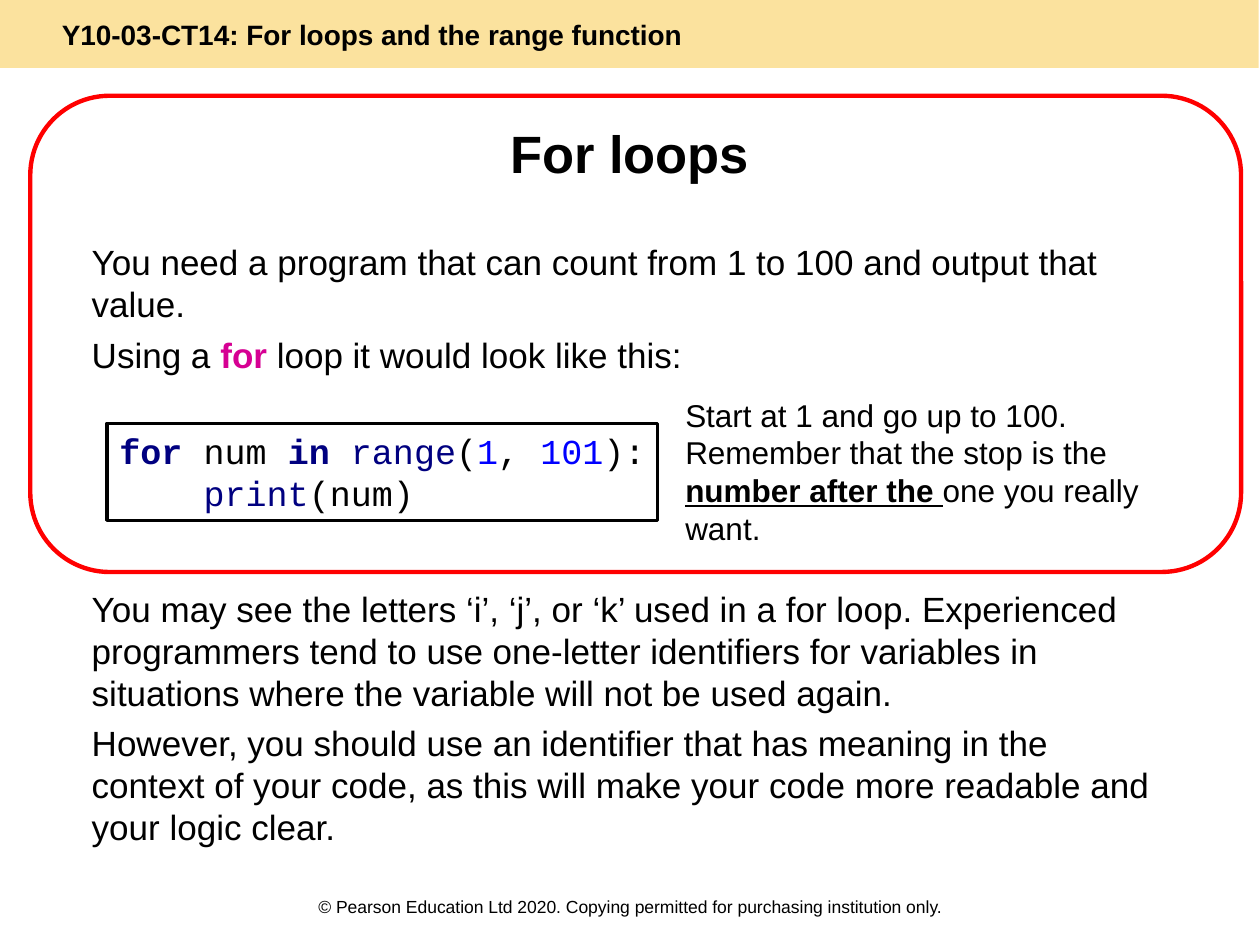
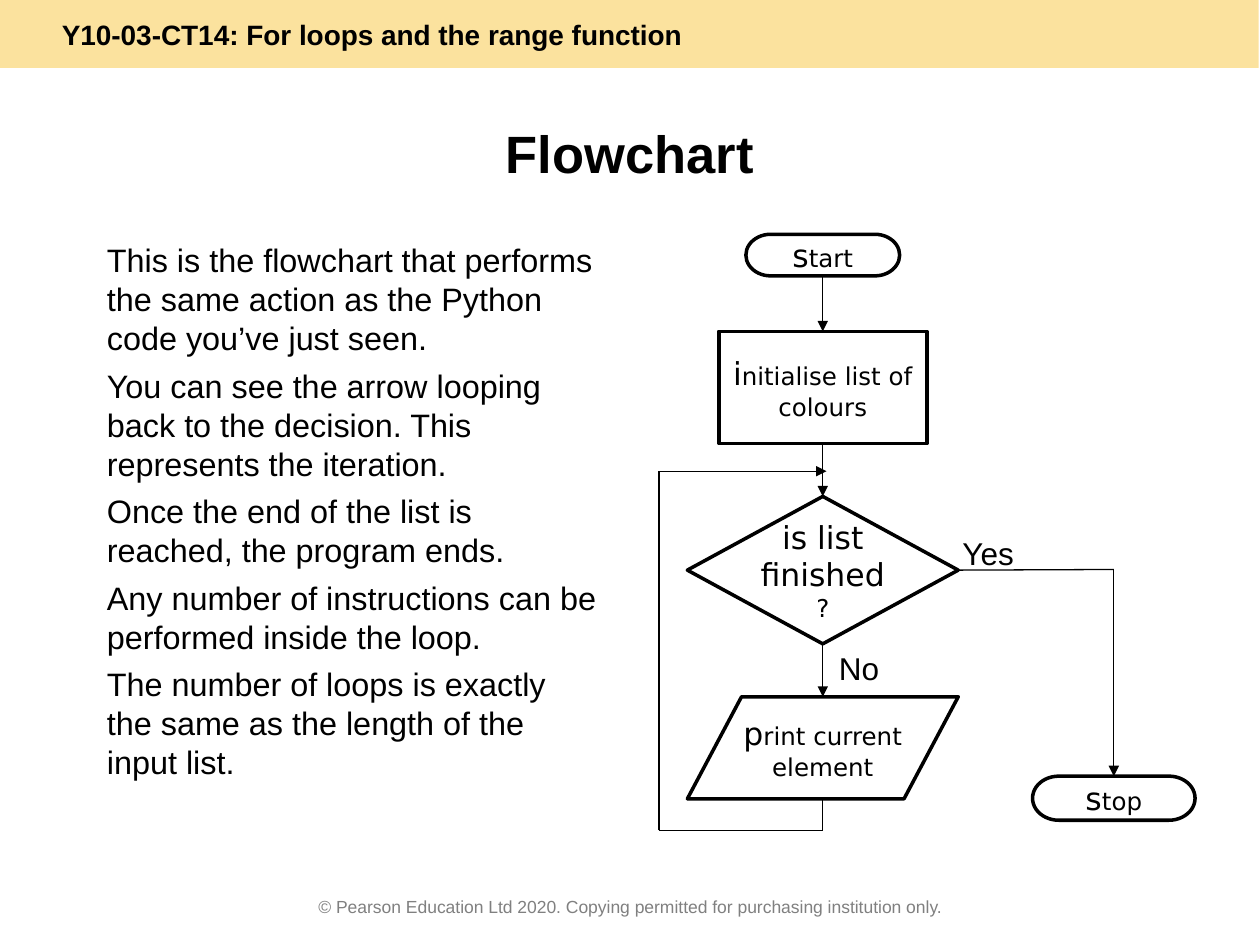
import pptx
import pptx.dml.color
import pptx.enum.shapes
import pptx.enum.text
import pptx.oxml
import pptx.oxml.ns
import pptx.util
from lxml import etree

Inches = pptx.util.Inches
Pt = pptx.util.Pt
SHAPES = pptx.enum.shapes.MSO_SHAPE
ALIGN = pptx.enum.text.PP_ALIGN
ANCHOR = pptx.enum.text.MSO_ANCHOR

BLACK = "000000"
WHITE = "FFFFFF"
GREY = "808080"
BAND = "F9C73E"
FRAME = "FF0000"
PINK = "D60093"
NAVY = "000080"
BLUE = "0000FF"
LESSON = "Y10-03-CT14: For loops and the range function"
COPYRIGHT = "© Pearson Education Ltd 2020. Copying permitted for purchasing institution only."

FLOW_X = 6.53
LOOP_X = 5.23
LOOP_TOP = 3.74
LOOP_BOTTOM = 6.59
STOP_X = 8.84


def rgb(color):
    return pptx.dml.color.RGBColor.from_string(color)


def write(shape, paragraphs, size=18, font="Arial", color=BLACK, bold=False,
          align=ALIGN.LEFT, anchor=ANCHOR.TOP, before=0, wrap=True, inset=(0.1, 0.05)):
    frame = shape.text_frame
    frame.word_wrap = wrap
    frame.vertical_anchor = anchor
    frame.margin_left = frame.margin_right = Inches(inset[0])
    frame.margin_top = frame.margin_bottom = Inches(inset[1])
    for index, runs in enumerate(paragraphs):
        paragraph = frame.paragraphs[0] if index == 0 else frame.add_paragraph()
        paragraph.alignment = align
        if index:
            paragraph.space_before = Pt(before)
        if isinstance(runs, str):
            runs = [(runs, {})]
        for text, changes in runs:
            run = paragraph.add_run()
            run.text = text
            run.font.name = font
            run.font.size = Pt(changes.get("size", size))
            run.font.bold = changes.get("bold", bold)
            run.font.underline = changes.get("underline", False)
            run.font.color.rgb = rgb(changes.get("color", color))


def add_text(slide, left, top, width, height, paragraphs, **text_format):
    box = slide.shapes.add_textbox(Inches(left), Inches(top), Inches(width), Inches(height))
    write(box, paragraphs, **text_format)
    return box


def add_box(slide, kind, left, top, width, height, fill=WHITE, line=BLACK, weight=2):
    shape = slide.shapes.add_shape(
        kind, Inches(left), Inches(top), Inches(width), Inches(height))
    shape.shadow.inherit = False
    if fill:
        shape.fill.solid()
        shape.fill.fore_color.rgb = rgb(fill)
    else:
        shape.fill.background()
    if line:
        shape.line.color.rgb = rgb(line)
        shape.line.width = Pt(weight)
    else:
        shape.line.fill.background()
    return shape


def add_step(slide, kind, center, top, width, height, runs):
    step = add_box(slide, kind, center - width / 2, top, width, height)
    write(step, [runs], size=14, font="DejaVu Sans", align=ALIGN.CENTER,
          anchor=ANCHOR.MIDDLE, inset=(0, 0))
    return step


def add_route(slide, points, start=None, end=None):
    connectors = []
    for (x1, y1), (x2, y2) in zip(points, points[1:]):
        connector = slide.shapes.add_connector(
            pptx.enum.shapes.MSO_CONNECTOR.STRAIGHT,
            Inches(x1), Inches(y1), Inches(x2), Inches(y2))
        connector.line.color.rgb = rgb(BLACK)
        connector.line.width = Pt(0.75)
        properties = connector._element.spPr
        etree.SubElement(properties, pptx.oxml.ns.qn("a:effectLst"))
        connectors.append(connector)
    outline = connectors[-1].line._get_or_add_ln()
    etree.SubElement(outline, pptx.oxml.ns.qn("a:tailEnd"), type="triangle")
    if start:
        connectors[0].begin_connect(*start)
    if end:
        connectors[-1].end_connect(*end)


def add_lesson_slide(presentation, title, footer_color):
    slide = presentation.slides.add_slide(presentation.slide_layouts[6])
    band = add_box(slide, SHAPES.RECTANGLE, 0, 0, 9.99, 0.54, fill=BAND, line=None)
    color = band.fill._xPr.find(".//" + pptx.oxml.ns.qn("a:srgbClr"))
    etree.SubElement(color, pptx.oxml.ns.qn("a:alpha"), val="50000")
    write(band, [LESSON], size=16, bold=True, anchor=ANCHOR.MIDDLE, inset=(0.49, 0.05))
    add_text(slide, 0, 7.06, 10, 0.31, [COPYRIGHT], size=10, color=footer_color,
             align=ALIGN.CENTER)
    add_text(slide, 0.5, 0.91, 9, 0.94, [title], size=30, bold=True, align=ALIGN.CENTER)
    return slide


def build_for_loops(presentation):
    slide = add_lesson_slide(presentation, "For loops", BLACK)
    add_text(slide, 0.63, 1.86, 8.74, 1.2, [
        "You need a program that can count from 1 to 100 and output that value.",
        [("Using a ", {}), ("for", {"color": PINK, "bold": True}),
         (" loop it would look like this:", {})],
    ], size=20, before=5)
    add_text(slide, 0.63, 4.61, 8.74, 2.14, [
        "You may see the letters ‘i’, ‘j’, or ‘k’ used in a for loop. Experienced "
        "programmers tend to use one-letter identifiers for variables in situations "
        "where the variable will not be used again.",
        "However, you should use an identifier that has meaning in the context of your "
        "code, as this will make your code more readable and your logic clear.",
    ], size=20, before=5)

    keyword = {"color": NAVY, "bold": True}
    function = {"color": NAVY}
    number = {"color": BLUE}
    code = add_box(slide, SHAPES.RECTANGLE, 0.85, 3.36, 4.37, 0.77)
    write(code, [
        [("for ", keyword), ("num ", {}), ("in ", keyword), ("range", function),
         ("(", {}), ("1", number), (", ", {}), ("101", number), ("):", {})],
        [("    ", {}), ("print", function), ("(num)", {})],
    ], size=20, font="Courier New", anchor=ANCHOR.MIDDLE, wrap=False)

    add_text(slide, 5.34, 3.09, 3.99, 1.3, [[
        ("Start at 1 and go up to 100. Remember that the stop is the ", {}),
        ("number after the ", {"bold": True, "underline": True}),
        ("one you really want.", {}),
    ]])
    add_box(slide, SHAPES.ROUNDED_RECTANGLE, 0.24, 0.76, 9.61, 3.78,
            fill=None, line=FRAME, weight=2.5)


def build_flowchart(presentation):
    slide = add_lesson_slide(presentation, "Flowchart", GREY)
    add_text(slide, 0.75, 1.86, 4.09, 4.49, [
        "This is the flowchart that performs the same action as the Python code "
        "you’ve just seen.",
        "You can see the arrow looping back to the decision. This represents the iteration.",
        "Once the end of the list is reached, the program ends.",
        "Any number of instructions can be performed inside the loop.",
        "The number of loops is exactly the same as the length of the input list.",
    ], size=18.5, before=5)

    large = {"size": 18}
    start = add_step(slide, SHAPES.FLOWCHART_TERMINATOR, FLOW_X, 1.86, 1.22, 0.33,
                     [("s", large), ("tart", {})])
    initialise = add_step(slide, SHAPES.FLOWCHART_PROCESS, FLOW_X, 2.63, 1.65, 0.89,
                          [("i", large), ("nitialise list of colours", {})])
    decision = add_step(slide, SHAPES.FLOWCHART_DECISION, FLOW_X, 3.94, 2.15, 1.17,
                        [("is list finished", large), ("?", {})])
    add_step(slide, SHAPES.FLOWCHART_DATA, FLOW_X, 5.53, 2.15, 0.81,
             [("p", large), ("rint current element", {})])
    stop = add_step(slide, SHAPES.FLOWCHART_TERMINATOR, STOP_X, 6.16, 1.29, 0.35,
                    [("s", large), ("top", {})])

    add_route(slide, [(FLOW_X, 2.19), (FLOW_X, 2.63)], (start, 2), (initialise, 0))
    add_route(slide, [(FLOW_X, 3.52), (FLOW_X, 3.94)], (initialise, 2), (decision, 0))
    add_route(slide, [(FLOW_X, 5.11), (FLOW_X, 5.53)], (decision, 2))
    add_route(slide, [(7.61, 4.52), (STOP_X, 4.52), (STOP_X, 6.16)],
              (decision, 3), (stop, 0))
    add_route(slide, [(FLOW_X, 6.34), (FLOW_X, LOOP_BOTTOM), (LOOP_X, LOOP_BOTTOM),
                      (LOOP_X, LOOP_TOP), (6.56, LOOP_TOP)])
    for answer, left, top in [("Yes", 7.54, 4.19), ("No", 6.56, 5.1)]:
        add_text(slide, left, top, 0.87, 0.4, [answer])


def main():
    presentation = pptx.Presentation()
    presentation.slide_width = Inches(10)
    presentation.slide_height = Inches(7.5)
    build_for_loops(presentation)
    build_flowchart(presentation)
    presentation.save("out.pptx")


if __name__ == "__main__":
    main()
